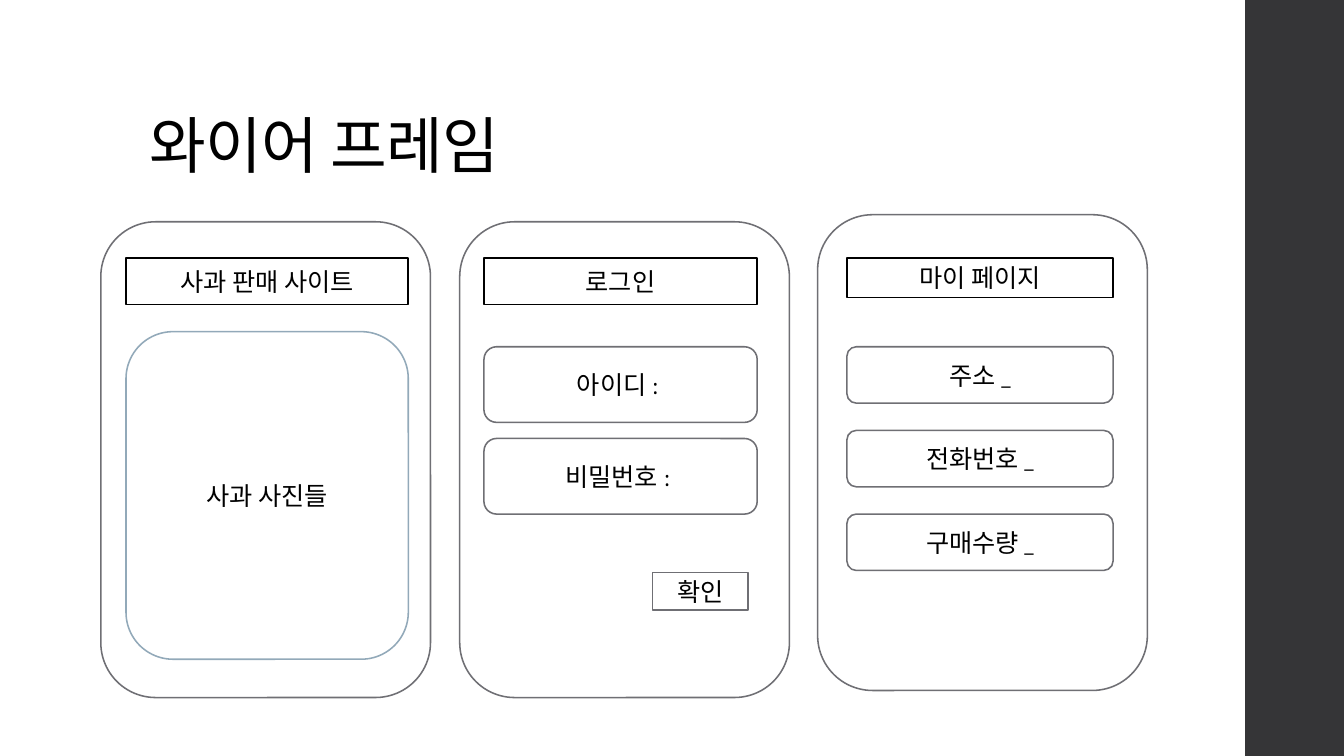
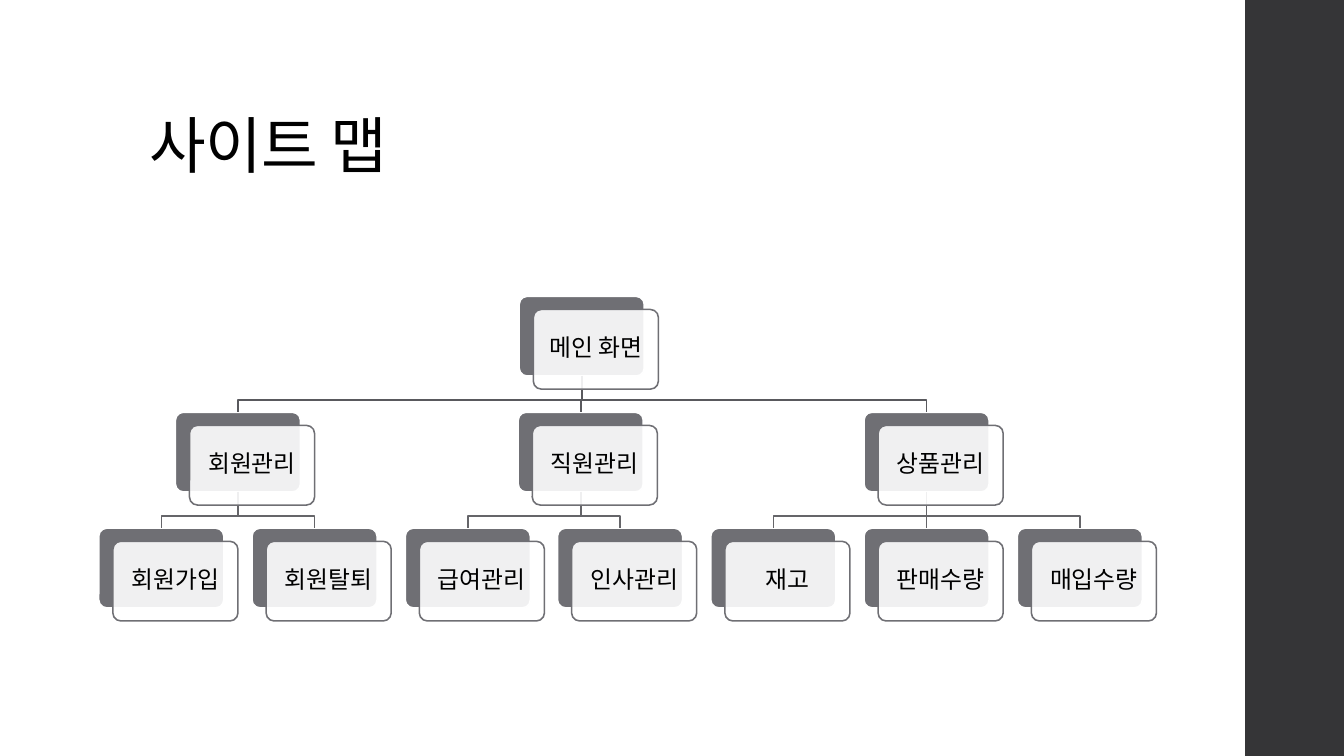
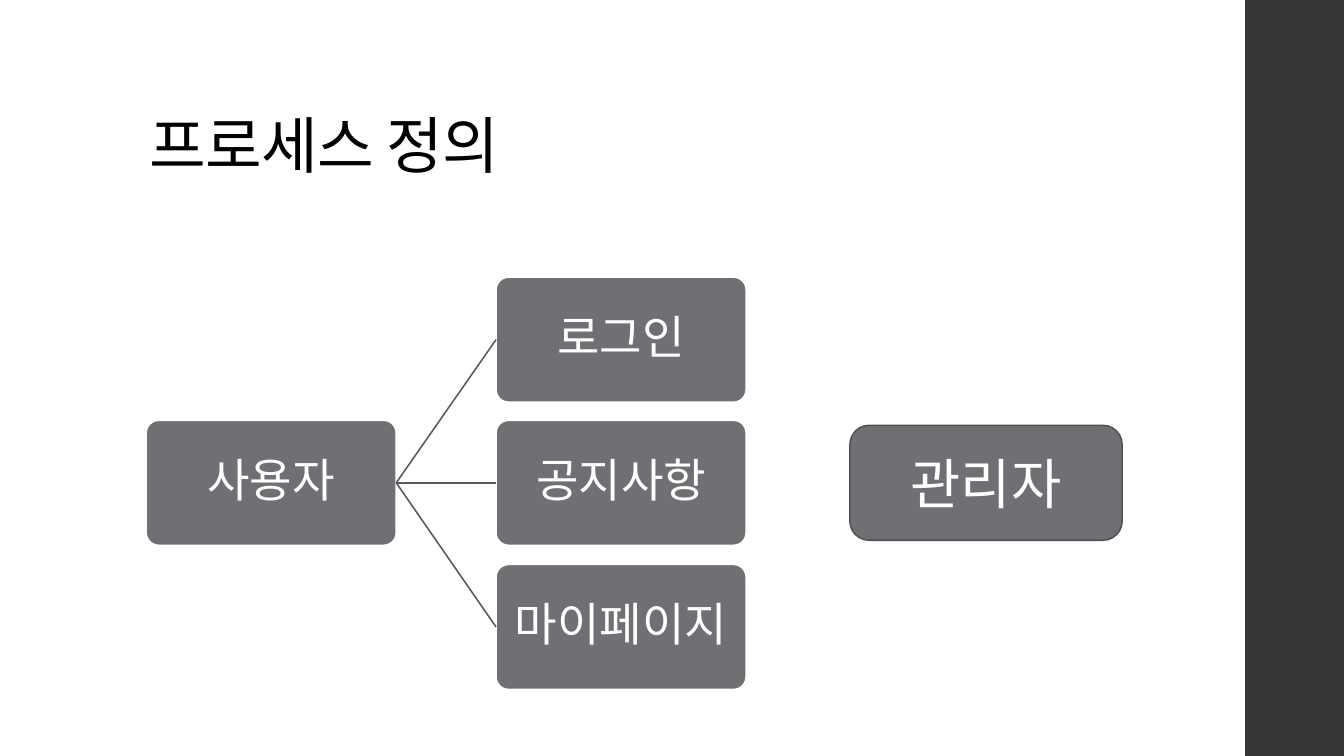
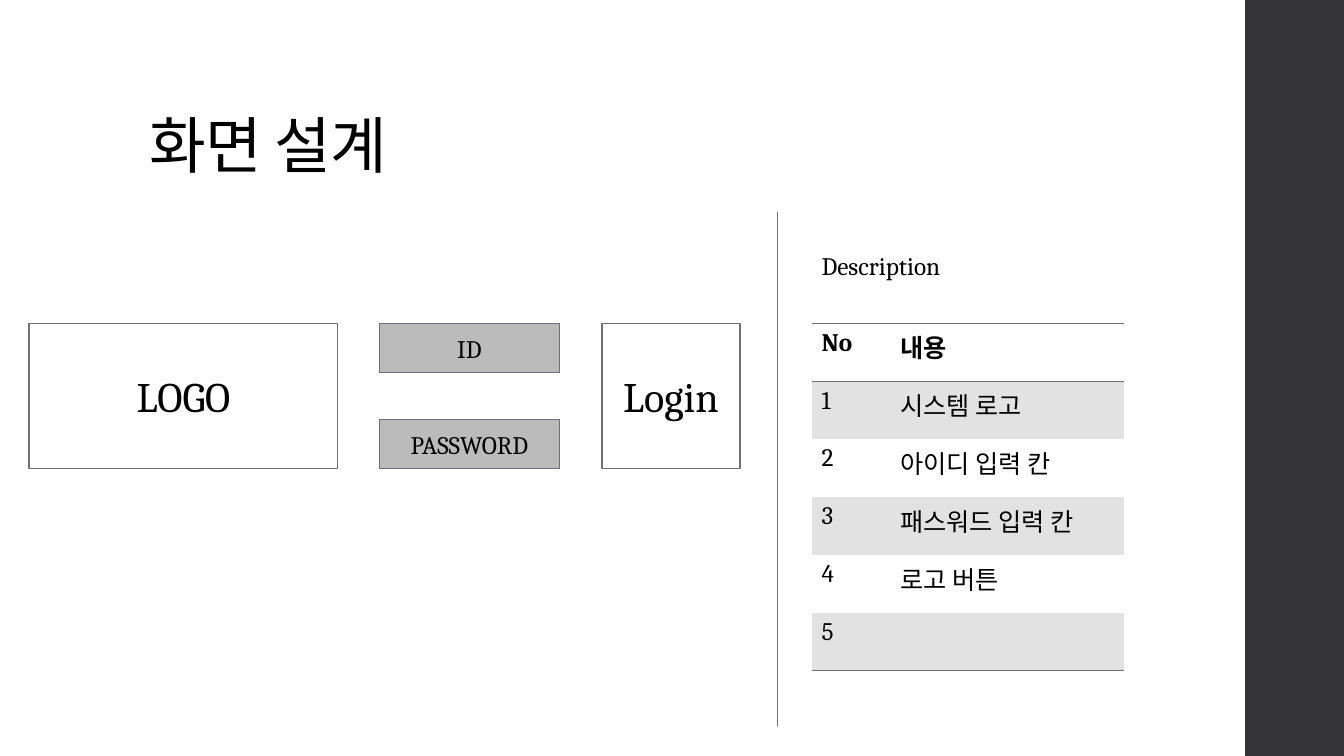
from lxml import etree
from pptx import Presentation
from pptx.dml.color import RGBColor
from pptx.enum import shapes, text
from pptx.oxml import parse_xml
from pptx.oxml.ns import nsdecls, qn
from pptx.util import Emu, Pt

PX = 9144  # one hundred px to the inch
FONT = "Cambria"
HUES = {
    "white": "FFFFFF", "black": "000000", "band": "353537",
    "gray": "6F6F74", "blue": "92A9B9", "edge": "525256",
    "link": "59595D", "twig": "656569", "field": "BBBBBC", "stripe": "E2E2E3",
}
RECT = shapes.MSO_SHAPE.RECTANGLE
ROUND = shapes.MSO_SHAPE.ROUNDED_RECTANGLE
MID = text.MSO_ANCHOR.MIDDLE
PLAIN = "{2D5ABB26-0587-4C30-8999-92F81FD0307C}"  # table style without grid


def emu(*px):
    return [Emu(round(n * PX)) for n in px]


def hue(name):
    return RGBColor.from_string(HUES[name])


class Deck:
    def __init__(self):
        self.prs = Presentation()
        self.prs.slide_width, self.prs.slide_height = emu(1333, 750)
        self.page = None

    def slide(self, title):
        """Start a slide with its side band and title."""
        self.page = self.prs.slides.add_slide(self.prs.slide_layouts[6]).shapes
        self.box(1235, 0, 98, 750, fill="band", line=None)
        frame = self.note(138, 40, 1060, 145, title, 44, wrap=True)
        frame.vertical_anchor = text.MSO_ANCHOR.BOTTOM
        para = frame.paragraphs[0]
        para.line_spacing = 0.9
        para.runs[0].font._element.set("spc", "-50")

    def ink(self, frame, size, color="black", bold=False):
        for para in frame.paragraphs:
            for run in para.runs:
                font = run.font
                font.name, font.size, font.bold = FONT, Pt(size), bold
                font.color.rgb = hue(color)

    def pen(self, line, color, width=1.1):
        line.color.rgb = hue(color)
        line.width = Pt(width)

    def box(self, x, y, w, h, words="", size=18, color="black", fill="white",
            line="gray", width=1.1, kind=RECT, bend=None, pad=None):
        """Draw a box; pad makes its text tight, with narrow lines."""
        shape = self.page.add_shape(kind, *emu(x, y, w, h))
        shape.shadow.inherit = False
        shape.fill.solid()
        shape.fill.fore_color.rgb = hue(fill)
        if line:
            self.pen(shape.line, line, width)
        else:
            shape.line.fill.background()
        if bend is not None:
            shape.adjustments[0] = bend
        if words:
            frame = shape.text_frame
            frame.text = words
            frame.word_wrap = True
            frame.vertical_anchor = MID
            para = frame.paragraphs[0]
            para.alignment = text.PP_ALIGN.CENTER
            if pad is not None:
                para.line_spacing = 0.9
                frame.margin_left, frame.margin_right = emu(pad, pad)
                frame.margin_top, frame.margin_bottom = emu(pad, pad)
            self.ink(frame, size, color)
        return shape

    def note(self, x, y, w, h, words, size, wrap=False):
        frame = self.page.add_textbox(*emu(x, y, w, h)).text_frame
        frame.text = words
        frame.word_wrap = wrap
        self.ink(frame, size)
        return frame

    def line(self, x1, y1, x2, y2, color="gray", width=0.75):
        wire = self.page.add_connector(
            shapes.MSO_CONNECTOR.STRAIGHT, *emu(x1, y1, x2, y2))
        self.pen(wire.line, color, width)
        etree.SubElement(wire._element.spPr, qn("a:effectLst"))
        return wire

    def join(self, start, out, end, into, color):
        """Join the sides of two boxes with a straight line."""
        wire = self.line(0, 0, 1, 1, color, 1.1)
        wire.begin_connect(start, out)
        wire.end_connect(end, into)

    def bent(self, spots, color):
        """Draw an open line through the given points."""
        first, *rest = [emu(*spot) for spot in spots]
        form = self.page.build_freeform(*first, scale=1.0)
        form.add_line_segments(rest, close=False)
        shape = form.convert_to_shape()
        shape.shadow.inherit = False
        shape.fill.background()
        self.pen(shape.line, color)

    def fade(self, shape, part):
        tone = shape._element.spPr.find(qn("a:solidFill"))[0]
        etree.SubElement(tone, qn("a:alpha")).set("val", str(part * 1000))

    def rule(self, cell, side):
        """Draw a cell border, with side lnT or lnB."""
        cell._tc.get_or_add_tcPr().insert(0, parse_xml(
            f'<a:{side} {nsdecls("a")} w="12700"><a:solidFill>'
            f'<a:srgbClr val="{HUES["gray"]}"/></a:solidFill></a:{side}>'))

    def table(self, x, y, cols, high, rows):
        grid = self.page.add_table(
            len(rows), len(cols), *emu(x, y, sum(cols), high * len(rows))).table
        grid._tbl.tblPr.find(qn("a:tableStyleId")).text = PLAIN
        for col, wide in zip(grid.columns, emu(*cols)):
            col.width = wide
        for r, row in enumerate(rows):
            grid.rows[r].height = emu(high)[0]
            for c, words in enumerate(row):
                cell = grid.cell(r, c)
                cell.text = words
                self.ink(cell.text_frame, 18, bold=r == 0)
                if r % 2:
                    cell.fill.solid()
                    cell.fill.fore_color.rgb = hue("stripe")
                else:
                    cell.fill.background()
                if r in (0, len(rows) - 1):
                    self.rule(cell, "lnB")
                if r == 0:
                    self.rule(cell, "lnT")


def frames(deck):
    deck.slide("와이어 프레임")
    # Phone outlines
    for x, y in ((100, 220), (456, 220), (811, 213)):
        deck.box(x, y, 327, 472, kind=ROUND)
    # Headings
    for x, w, h, words in ((125, 280, 46, "사과 판매 사이트"),
                           (480, 271, 46, "로그인"),
                           (840, 264, 39, "마이 페이지")):
        deck.box(x, 256, w, h, words, line="black")
    # Contents
    deck.box(125, 329, 280, 325, "사과 사진들", line="blue", kind=ROUND)
    for y, words in ((344, "아이디 : "), (435, "비밀번호 : ")):
        deck.box(480, y, 271, 75, words, kind=ROUND)
    deck.box(647, 568, 95, 37, "확인")
    for i, words in enumerate(("주소 _", "전화번호 _", "구매수량 _")):
        deck.box(840, 344 + 83 * i, 264, 56, words, kind=ROUND)


def sitemap(deck):
    deck.slide("사이트 맵")
    wide, high = 124, 79
    tree = (("회원관리", 174, ("회원가입", "회원탈퇴")),
            ("직원관리", 514, ("급여관리", "인사관리")),
            ("상품관리", 857, ("재고", "판매수량", "매입수량")))
    # Places of the cards, and who hangs below whom
    cards = [("메인 화면", 515, 294)]
    links = []
    leaf = 0
    for name, x, kids in tree:
        top = len(cards)
        cards.append((name, x, 409))
        links.append((0, top, "link"))
        for kid in kids:
            links.append((top, len(cards), "twig"))
            cards.append((kid, 98 + round(151.8 * leaf), 524))
            leaf += 1
    # Dark backs, then links, then pale fronts
    backs = [deck.box(x, y, wide, high, fill="gray", line="white",
                      kind=ROUND, bend=0.1) for _, x, y in cards]
    for a, b, color in links:
        (_, x1, y1), (_, x2, y2) = cards[a], cards[b]
        if x1 == x2:
            deck.join(backs[a], 2, backs[b], 0, color)
            continue
        x1, x2 = x1 + wide // 2, x2 + wide // 2
        turn = y2 - 12
        deck.bent(((x1, y1 + high), (x1, turn), (x2, turn), (x2, y2)), color)
    for name, x, y in cards:
        front = deck.box(x + 14, y + 13, wide, high, name, 17,
                         kind=ROUND, bend=0.1, pad=9)
        deck.fade(front, 90)


def process(deck):
    deck.slide("프로세스 정의")

    def node(x, y, words):
        return deck.box(x, y, 248, 124, words, 33, "white", "gray", "white",
                        kind=ROUND, bend=0.1, pad=6)

    user = node(145, 417, "사용자")
    for i, words in enumerate(("로그인", "공지사항", "마이페이지")):
        deck.join(user, 3, node(492, 275 + round(142.5 * i), words), 1, "link")
    deck.box(843, 422, 270, 114, "관리자", 39, "white", "gray", "edge", kind=ROUND)


def screen(deck):
    deck.slide("화면 설계")
    # Login form
    for x, w, words in ((29, 306, "LOGO"), (597, 137, "Login")):
        deck.box(x, 321, w, 144, words, 30)
    for y, words in ((321, "ID"), (416, "PASSWORD")):
        deck.box(376, y, 179, 49, words, fill="field", width=0.75)
    # Description
    deck.line(771, 210, 771, 720)
    deck.note(805, 243, 155, 40, "Description", 18)
    deck.table(805, 321, (78, 232), 57.4, (
        ("No", "내용"), ("1", "시스템 로고"), ("2", "아이디 입력 칸"),
        ("3", "패스워드 입력 칸"), ("4", "로고 버튼"), ("5", "")))


def main():
    deck = Deck()
    for build in (frames, sitemap, process, screen):
        build(deck)
    deck.prs.save("out.pptx")


if __name__ == "__main__":
    main()
